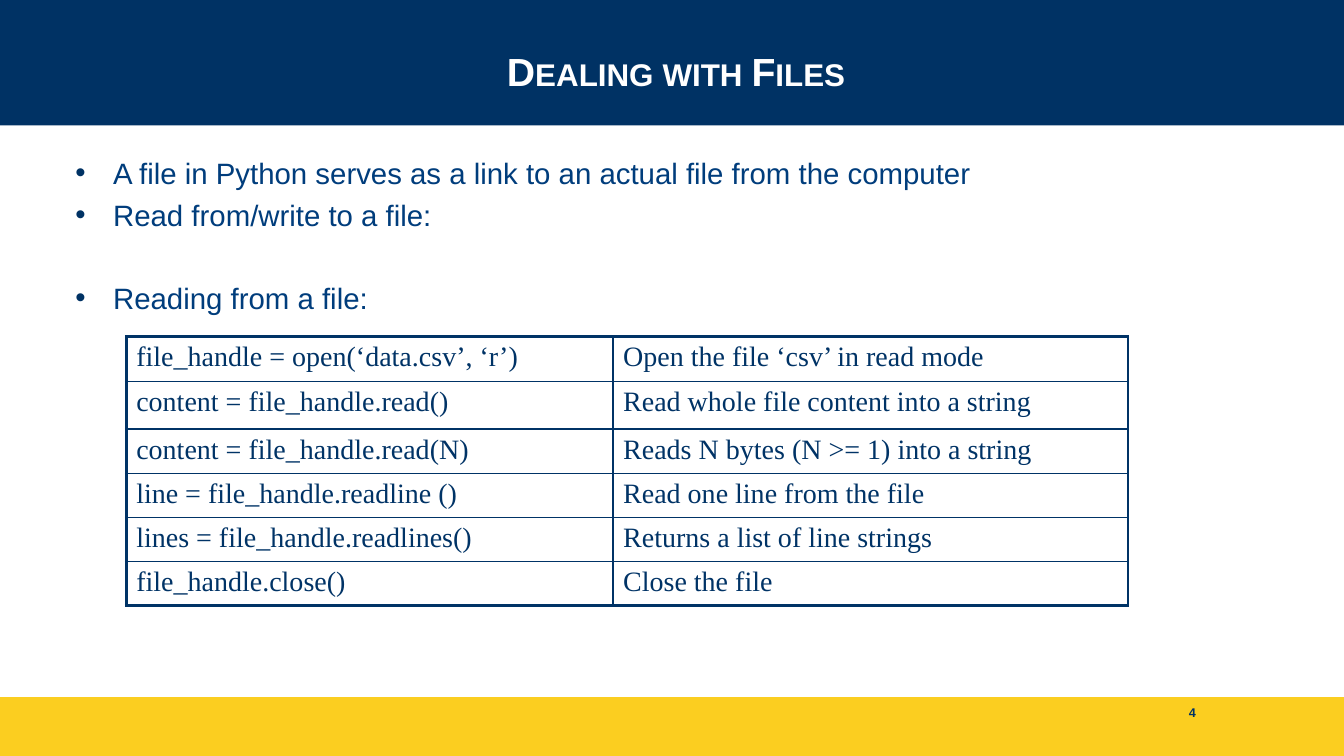
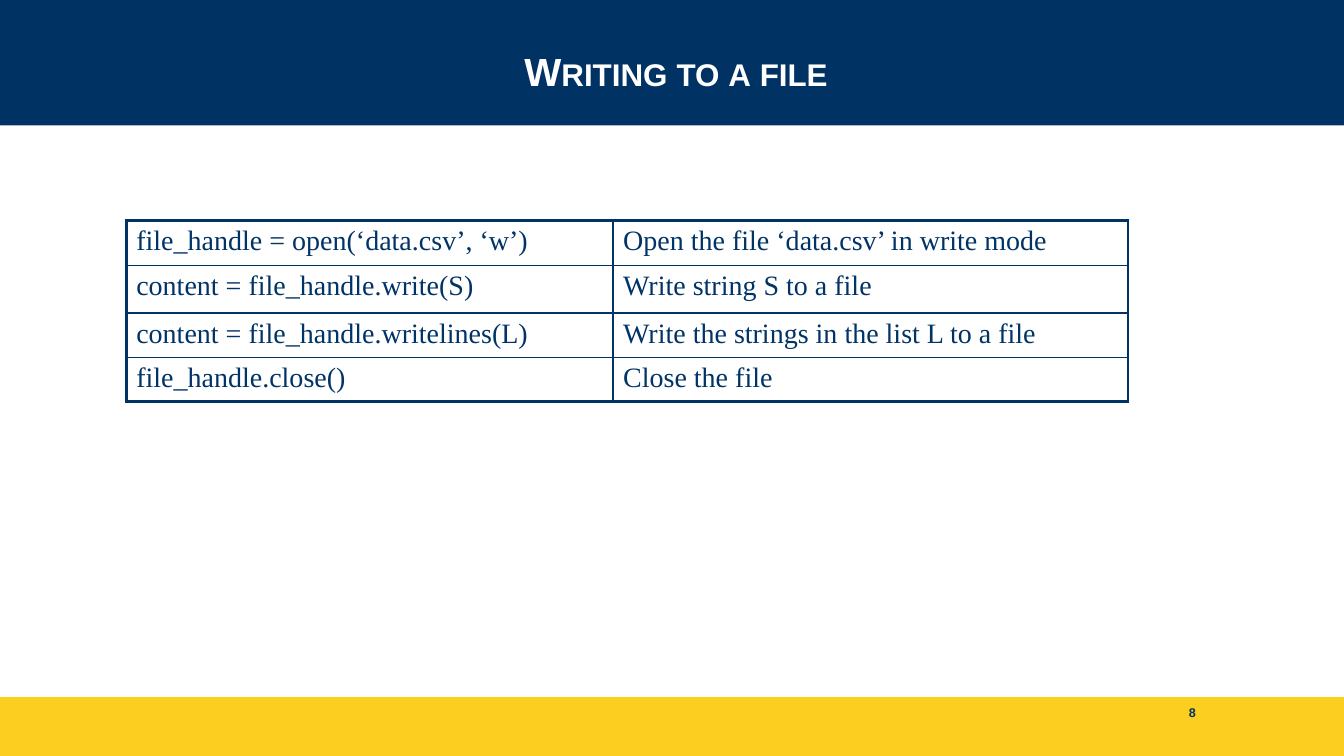
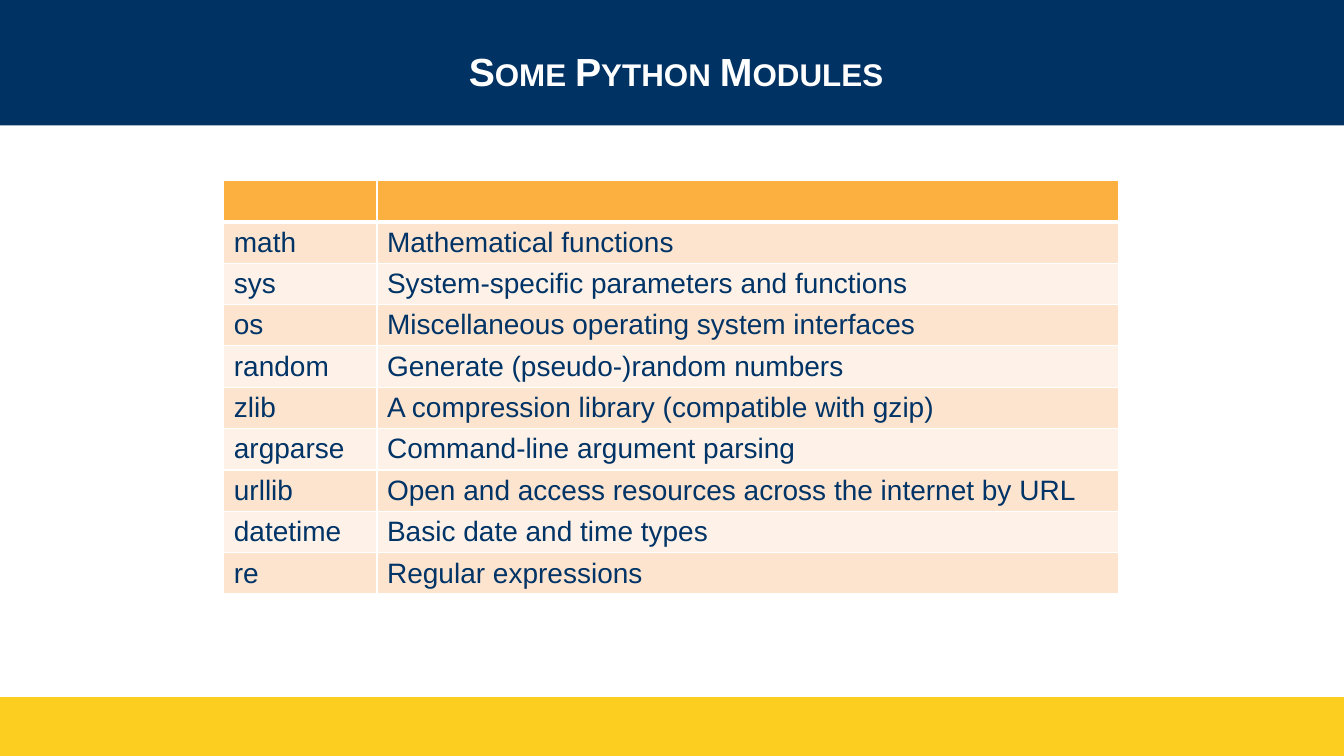
"""Build three slides on Python file handling and modules."""
from dataclasses import dataclass

from lxml import etree
from pptx import Presentation
from pptx import util as u
from pptx.dml.color import RGBColor
from pptx.enum import shapes, text
from pptx.oxml import ns

Cm = u.Cm


@dataclass(frozen=True)
class Theme:
    """Colours, fonts and type sizes of the deck."""
    navy: str = "003264"
    gold: str = "FBCE20"
    white: str = "FFFFFF"
    bullet_text: str = "003D7C"
    table_ink: str = "003366"
    header: str = "FBB040"
    stripes: tuple = ("FDE4CF", "FEF2E8")
    sans: str = "Arial"
    serif: str = "Times New Roman"
    title_size: float = 28
    bullet_size: float = 21
    table_size: float = 20
    number_size: float = 9
    hairline: float = 1
    outline: float = 2.25
    header_rule: float = 3


THEME = Theme()
WIDTH, HEIGHT = Cm(33.87), Cm(19.05)
CODE_LEFT = 3.18
CODE_COLUMNS = (12.27, 12.98)

READ_CALLS = [
    ("file_handle = open(‘data.csv’, ‘r’)", "Open the file ‘csv’ in read mode"),
    ("content = file_handle.read()", "Read whole file content into a string"),
    ("content = file_handle.read(N)", "Reads N bytes (N >= 1) into a string"),
    ("line = file_handle.readline ()", "Read one line from the file"),
    ("lines = file_handle.readlines()", "Returns a list of line strings"),
    ("file_handle.close()", "Close the file"),
]
WRITE_CALLS = [
    ("file_handle = open(‘data.csv’, ‘w’)", "Open the file ‘data.csv’ in write mode"),
    ("content = file_handle.write(S)", "Write string S to a file"),
    ("content = file_handle.writelines(L)", "Write the strings in the list L to a file"),
    ("file_handle.close()", "Close the file"),
]
MODULES = [
    ("", ""),
    ("math", "Mathematical functions"),
    ("sys", "System-specific parameters and functions"),
    ("os", "Miscellaneous operating system interfaces"),
    ("random", "Generate (pseudo-)random numbers"),
    ("zlib", "A compression library (compatible with gzip)"),
    ("argparse", "Command-line argument parsing"),
    ("urllib", "Open and access resources across the internet by URL"),
    ("datetime", "Basic date and time types"),
    ("re", "Regular expressions"),
]


def write(paragraph, words, *, size, color, font=THEME.sans, bold=False,
          align=text.PP_ALIGN.LEFT, before=0, small_caps=False):
    """Add a formatted run to a paragraph."""
    paragraph.alignment = align
    paragraph.space_before = u.Pt(before)
    run = paragraph.add_run()
    run.text = words
    run.font.name, run.font.size, run.font.bold = font, u.Pt(size), bold
    run.font.color.rgb = RGBColor.from_string(color)
    if small_caps:
        run.font._element.set("cap", "small")


def add_color(parent, tag, color):
    """Append an element that holds one RGB colour."""
    holder = etree.SubElement(parent, ns.qn(tag))
    etree.SubElement(holder, ns.qn("a:srgbClr"), val=color)


def add_master_bands(prs, slide):
    """Put the top and bottom colour bands on the slide master."""
    bands = ((0, 3.16, THEME.navy), (17.57, 1.48, THEME.gold))
    for order, (top, height, color) in enumerate(bands):
        band = slide.shapes.add_shape(
            shapes.MSO_SHAPE.RECTANGLE, 0, Cm(top), WIDTH, Cm(height))
        band.shadow.inherit = False
        band.fill.solid()
        band.fill.fore_color.rgb = RGBColor.from_string(color)
        band.line.fill.background()
        band.element.nvSpPr.cNvPr.set("id", str(100 + order))
        prs.slide_master.shapes.element.insert(2 + order, band.element)


def add_titled_slide(prs, heading):
    """Add a title-only slide with its heading."""
    slide = prs.slides.add_slide(prs.slide_layouts[5])
    title = slide.shapes.title
    title.left, title.top = Cm(1.65), Cm(0.41)
    title.width, title.height = Cm(30.78), Cm(2.74)
    frame = title.text_frame
    frame.vertical_anchor = text.MSO_ANCHOR.MIDDLE
    frame.auto_size = text.MSO_AUTO_SIZE.NONE
    write(frame.paragraphs[0], heading, size=THEME.title_size, color=THEME.white,
          bold=True, align=text.PP_ALIGN.CENTER, small_caps=True)
    return slide


def add_text_frame(slide, left, top, width, height):
    """Add a wrapping text box and return its frame."""
    frame = slide.shapes.add_textbox(
        Cm(left), Cm(top), Cm(width), Cm(height)).text_frame
    frame.word_wrap = True
    return frame


def add_page_number(slide, number):
    """Write the page number on the bottom band."""
    frame = add_text_frame(slide, 26.24, 17.65, 7.62, 1.02)
    write(frame.paragraphs[0], str(number), size=THEME.number_size,
          color=THEME.navy, bold=True, align=text.PP_ALIGN.CENTER)


def add_bullets(slide, points):
    """Add bulleted points, each with its space before."""
    frame = add_text_frame(slide, 1.65, 3.78, 30.78, 13.89)
    for index, (words, before) in enumerate(points):
        paragraph = frame.add_paragraph() if index else frame.paragraphs[0]
        write(paragraph, words, size=THEME.bullet_size,
              color=THEME.bullet_text, before=before)
        props = paragraph._p.get_or_add_pPr()
        props.set("marL", str(Cm(0.95)))
        props.set("indent", str(-Cm(0.95)))
        add_color(props, "a:buClr", THEME.navy)
        etree.SubElement(props, ns.qn("a:buFont"), typeface=THEME.sans)
        etree.SubElement(props, ns.qn("a:buChar"), char="•")


def set_borders(cell, color, widths):
    """Draw left, right, top and bottom cell borders in point widths."""
    props = cell._tc.get_or_add_tcPr()
    for order, (side, width) in enumerate(zip("LRTB", widths)):
        border = etree.Element(ns.qn(f"a:ln{side}"), w=str(u.Pt(width)))
        add_color(border, "a:solidFill", color)
        props.insert(order, border)


def add_grid(slide, rows, left, top, columns, heights, font):
    """Add a plain table with its text and yield every cell with its place."""
    table = slide.shapes.add_table(
        len(rows), len(columns), Cm(left), Cm(top),
        Cm(sum(columns)), Cm(sum(heights))).table
    table.first_row = table.horz_banding = False
    for column, width in zip(table.columns, columns):
        column.width = Cm(width)
    for r, (entries, height) in enumerate(zip(rows, heights)):
        table.rows[r].height = Cm(height)
        for c, words in enumerate(entries):
            cell = table.cell(r, c)
            if words:
                write(cell.text_frame.paragraphs[0], words, font=font,
                      size=THEME.table_size, color=THEME.table_ink)
            yield r, c, cell


def add_code_table(slide, calls, top, heights):
    """Add an outlined table of calls and their meaning."""
    last_row, last_column = len(calls) - 1, len(CODE_COLUMNS) - 1
    for r, c, cell in add_grid(slide, calls, CODE_LEFT, top, CODE_COLUMNS,
                               heights, THEME.serif):
        cell.fill.background()
        edges = (c == 0, c == last_column, r == 0, r == last_row)
        set_borders(cell, THEME.table_ink,
                    [THEME.outline if edge else THEME.hairline for edge in edges])


def add_module_table(slide):
    """Add the striped table of modules under a coloured header."""
    for r, _, cell in add_grid(slide, MODULES, 5.64, 4.55, (3.86, 18.69),
                               [1.04] * len(MODULES), THEME.sans):
        cell.fill.solid()
        fill = THEME.stripes[(r - 1) % 2] if r else THEME.header
        cell.fill.fore_color.rgb = RGBColor.from_string(fill)
        above = THEME.header_rule if r == 1 else THEME.hairline
        below = THEME.header_rule if r == 0 else THEME.hairline
        set_borders(cell, THEME.white,
                    (THEME.hairline, THEME.hairline, above, below))


def main():
    """Build and save the deck."""
    prs = Presentation()
    prs.slide_width, prs.slide_height = WIDTH, HEIGHT

    reading = add_titled_slide(prs, "Dealing with Files")
    add_master_bands(prs, reading)
    add_bullets(reading, [
        ("A file in Python serves as a link to an actual file from the computer", 0),
        ("Read from/write to a file:", 5),
        ("Reading from a file:", 34),
    ])
    add_page_number(reading, 4)
    add_code_table(reading, READ_CALLS, 8.48, (1.14, 1.19, 1.12, 1.12, 1.06, 1.06))

    writing = add_titled_slide(prs, "Writing to a file")
    add_page_number(writing, 8)
    add_code_table(writing, WRITE_CALLS, 5.56, (1.14, 1.19, 1.12, 1.06))

    add_module_table(add_titled_slide(prs, "Some Python Modules"))
    prs.save("out.pptx")


main()
